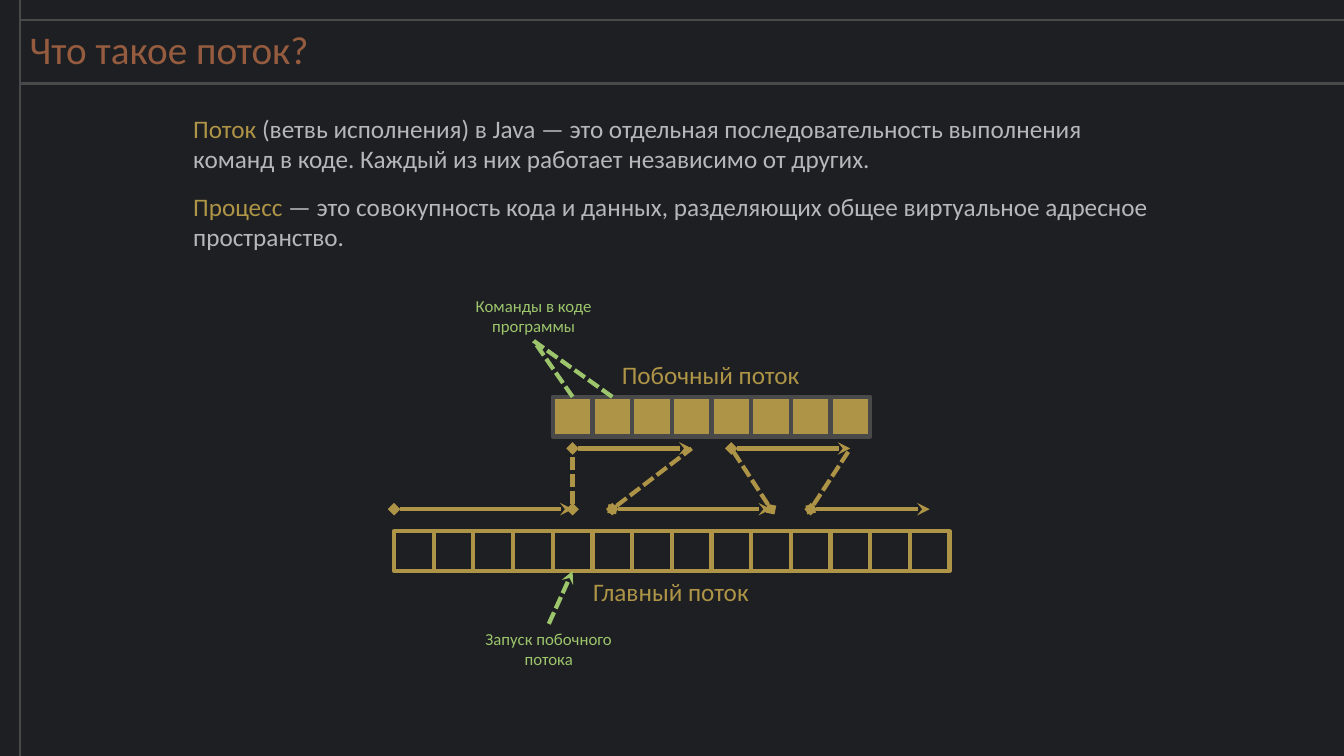
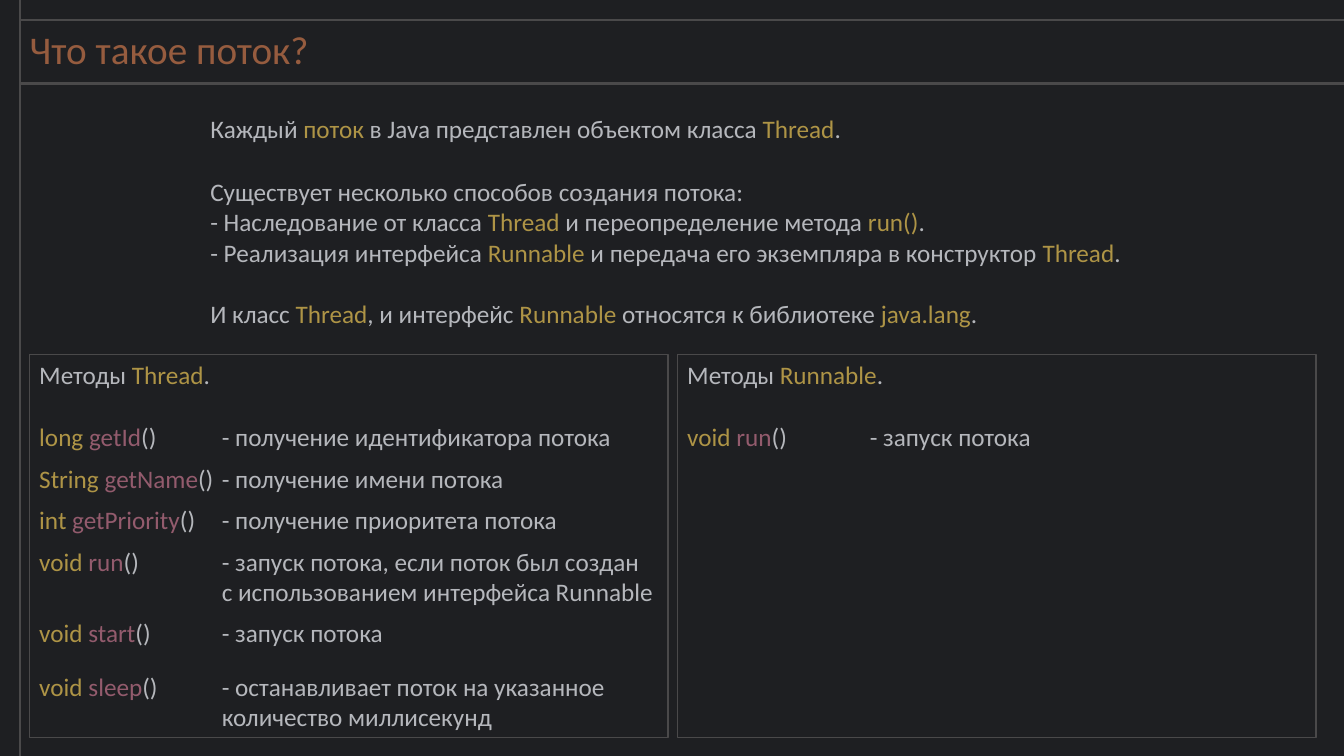
from dataclasses import dataclass
from itertools import cycle
from typing import Optional, Sequence

from lxml import etree
from pptx import Presentation
from pptx.dml.color import RGBColor
from pptx.enum import dml, shapes, text
from pptx.oxml.ns import qn
from pptx.shapes.autoshape import Shape
from pptx.shapes.connector import Connector
from pptx.slide import Slide
from pptx.util import Cm, Pt

BACKGROUND = RGBColor(0x1E, 0x1F, 0x22)
RUST = RGBColor(0x96, 0x5C, 0x3F)
GRAPHITE = RGBColor(0x4A, 0x49, 0x4A)
GOLD = RGBColor(0xAE, 0x94, 0x46)
GRAY = RGBColor(0xB5, 0xB7, 0xBC)
GREEN = RGBColor(0x9C, 0xC5, 0x6C)
PLUM = RGBColor(0x93, 0x5B, 0x6D)

FONT = "Calibri"
SLIDE_WIDTH, SLIDE_HEIGHT = 33.87, 19.05
MARGIN, TITLE_BOTTOM = 0.5, 2.1

CELL = 1.0
MAIN_LEFT, MAIN_TOP = 9.93, 13.39
SIDE_START, SIDE_TOP = 4, 10.0
MAIN_LEVEL, SIDE_LEVEL = 12.83, 11.3

PANEL_TOP, PANEL_WIDTH, PANEL_HEIGHT = 8.94, 16.1, 9.65
NOTE_INDENT = 4.6


@dataclass(frozen=True)
class Step:
    """A diagram line; x values count cells of the main thread."""
    x1: float
    y1: float
    x2: float
    y2: float
    switch: bool = False


@dataclass(frozen=True)
class Method:
    signature: str
    note: Sequence[str]
    gap_before: float = 0


@dataclass(frozen=True)
class Panel:
    left: float
    heading: str
    methods: Sequence[Method]


STEPS = (
    Step(0, MAIN_LEVEL, 4.5, MAIN_LEVEL),
    Step(4.5, MAIN_LEVEL, 4.5, SIDE_LEVEL, switch=True),
    Step(4.5, SIDE_LEVEL, 7.5, SIDE_LEVEL),
    Step(5.5, MAIN_LEVEL, 7.5, SIDE_LEVEL, switch=True),
    Step(5.5, MAIN_LEVEL, 9.5, MAIN_LEVEL),
    Step(9.5, MAIN_LEVEL, 8.5, SIDE_LEVEL, switch=True),
    Step(8.5, SIDE_LEVEL, 11.5, SIDE_LEVEL),
    Step(10.5, MAIN_LEVEL, 11.5, SIDE_LEVEL, switch=True),
    Step(10.5, MAIN_LEVEL, 13.5, MAIN_LEVEL),
)

PANELS = (
    Panel(0.74, "Методы |Thread|.", (
        Method("long |getId|()", ["- получение идентификатора потока"]),
        Method("String |getName|()", ["- получение имени потока"]),
        Method("int |getPriority|()", ["- получение приоритета потока"]),
        Method("void |run|()", ["- запуск потока, если поток был создан",
                                "с использованием интерфейса Runnable"]),
        Method("void |start|()", ["- запуск потока"]),
        Method("void |sleep|()", ["- останавливает поток на указанное",
                                  "количество миллисекунд"], gap_before=0.3),
    )),
    Panel(17.07, "Методы |Runnable|.", (
        Method("void |run|()", ["- запуск потока"]),
    )),
)


def write(slide: Slide, paragraphs: Sequence[str], left: float, top: float,
          width: float, height: float = 1.02, *,
          colors: Sequence[RGBColor] = (GRAY, GOLD), size: float = 18,
          align: text.PP_ALIGN = text.PP_ALIGN.LEFT,
          anchor: text.MSO_ANCHOR = text.MSO_ANCHOR.TOP,
          line_spacing: Optional[float] = None,
          last_space: float = 0) -> Shape:
    """Add a text box; "|" in a paragraph moves on to the next colour."""
    box = slide.shapes.add_textbox(Cm(left), Cm(top), Cm(width), Cm(height))
    frame = box.text_frame
    frame.word_wrap = True
    frame.vertical_anchor = anchor
    for index, content in enumerate(paragraphs):
        paragraph = frame.add_paragraph() if index else frame.paragraphs[0]
        paragraph.alignment = align
        paragraph.line_spacing = line_spacing
        for part, color in zip(content.split("|"), cycle(colors)):
            if part:
                run = paragraph.add_run()
                run.text = part
                run.font.name = FONT
                run.font.size = Pt(size)
                run.font.color.rgb = color
    if last_space:
        paragraph.space_before = Pt(last_space)
    return box


def draw_line(slide: Slide, x1: float, y1: float, x2: float, y2: float, *,
              color: RGBColor, width: float = 3, dashed: bool = False,
              head: str = "none", tail: str = "none") -> Connector:
    connector = slide.shapes.add_connector(
        shapes.MSO_CONNECTOR.STRAIGHT, Cm(x1), Cm(y1), Cm(x2), Cm(y2))
    connector.line.color.rgb = color
    connector.line.width = Pt(width)
    if dashed:
        connector.line.dash_style = dml.MSO_LINE.SQUARE_DOT
    outline = connector.line._get_or_add_ln()
    for tag, arrowhead in (("a:headEnd", head), ("a:tailEnd", tail)):
        etree.SubElement(outline, qn(tag)).set("type", arrowhead)
    etree.SubElement(connector._element.spPr, qn("a:effectLst"))
    return connector


def join(slide: Slide, start: Shape, start_side: int,
         end: Shape, end_side: int, *, tail: str = "none") -> None:
    pointer = draw_line(slide, 0, 0, 1, 1, color=GREEN, dashed=True, tail=tail)
    pointer.begin_connect(start, start_side)
    pointer.end_connect(end, end_side)


def draw_rectangle(slide: Slide, left: float, top: float, width: float,
                   height: float, *, line: RGBColor, line_width: float,
                   fill: Optional[RGBColor] = None) -> Shape:
    rectangle = slide.shapes.add_shape(
        shapes.MSO_SHAPE.RECTANGLE, Cm(left), Cm(top), Cm(width), Cm(height))
    rectangle.shadow.inherit = False
    rectangle.line.color.rgb = line
    rectangle.line.width = Pt(line_width)
    if fill is None:
        rectangle.fill.background()
    else:
        rectangle.fill.solid()
        rectangle.fill.fore_color.rgb = fill
    return rectangle


def draw_cells(slide: Slide, count: int, start: int, top: float, *,
               line: RGBColor, fill: Optional[RGBColor] = None) -> list[Shape]:
    return [draw_rectangle(slide, MAIN_LEFT + (start + i) * CELL, top, CELL,
                           CELL, line=line, line_width=3, fill=fill)
            for i in range(count)]


def add_titled_slide(prs: Presentation, title: str) -> Slide:
    slide = prs.slides.add_slide(prs.slide_layouts[6])
    slide.background.fill.solid()
    slide.background.fill.fore_color.rgb = BACKGROUND
    write(slide, [title], MARGIN, MARGIN, 33.1, TITLE_BOTTOM - MARGIN,
          colors=(RUST,), size=28, anchor=text.MSO_ANCHOR.MIDDLE,
          line_spacing=0.9)
    draw_line(slide, MARGIN, SLIDE_HEIGHT, MARGIN, 0,
              color=GRAPHITE, width=1.75)
    for y in (MARGIN, TITLE_BOTTOM):
        draw_line(slide, SLIDE_WIDTH, y, MARGIN, y, color=GRAPHITE, width=1.75)
    return slide


def draw_thread_diagram(slide: Slide) -> None:
    main_cells = draw_cells(slide, 14, 0, MAIN_TOP, line=GOLD)
    write(slide, ["Главный поток"], 14.7, 14.4, 4.6, colors=(GOLD,))
    side_cells = draw_cells(slide, 8, SIDE_START, SIDE_TOP,
                            line=GRAPHITE, fill=GOLD)
    write(slide, ["Побочный поток"], 15.42, 8.94, 5.2, colors=(GOLD,))
    for step in STEPS:
        draw_line(slide, MAIN_LEFT + step.x1 * CELL, step.y1,
                  MAIN_LEFT + step.x2 * CELL, step.y2, color=GOLD,
                  dashed=step.switch, head="diamond",
                  tail="none" if step.switch else "stealth")

    commands = write(slide, ["Команды в коде", "программы"],
                     11.66, 7.32, 3.58, 1.27, colors=(GREEN,), size=12,
                     align=text.PP_ALIGN.CENTER)
    for cell in side_cells[:2]:
        join(slide, cell, 0, commands, 2)
    launch = write(slide, ["Запуск побочного", "потока"],
                   11.91, 15.72, 3.84, 1.27, colors=(GREEN,), size=12,
                   align=text.PP_ALIGN.CENTER)
    join(slide, launch, 0, main_cells[SIDE_START], 2, tail="stealth")


def draw_panel(slide: Slide, panel: Panel) -> None:
    draw_rectangle(slide, panel.left, PANEL_TOP, PANEL_WIDTH, PANEL_HEIGHT,
                   line=GRAPHITE, line_width=1)
    write(slide, [panel.heading], panel.left, PANEL_TOP, PANEL_WIDTH)
    top = PANEL_TOP + 1.55
    for method in panel.methods:
        top += method.gap_before
        height = 0.75 * len(method.note) + 0.3
        write(slide, [method.signature], panel.left, top, 5.2,
              colors=(GOLD, PLUM, GRAY))
        write(slide, method.note, panel.left + NOTE_INDENT, top,
              PANEL_WIDTH - NOTE_INDENT, height)
        top += height


def build_definition_slide(prs: Presentation) -> None:
    slide = add_titled_slide(prs, "Что такое поток?")
    definitions = (
        "Поток| (ветвь исполнения) в Java — это отдельная последовательность "
        "выполнения команд в коде. Каждый из них работает независимо от других.",
        "Процесс| — это совокупность кода и данных, разделяющих общее "
        "виртуальное адресное пространство.",
    )
    for index, definition in enumerate(definitions):
        write(slide, [definition], 4.62, 2.72 + index * 1.98, 24.64, 1.8,
              colors=(GOLD, GRAY))
    draw_thread_diagram(slide)


def build_classes_slide(prs: Presentation) -> None:
    slide = add_titled_slide(prs, "Что такое поток?")
    write(slide, ["Каждый |поток| в Java представлен объектом класса |Thread|."],
          5.05, 2.72, 24)
    write(slide, [
        "Существует несколько способов создания потока:",
        "- Наследование от класса |Thread| и переопределение метода |run()|.",
        "- Реализация интерфейса |Runnable| и передача его экземпляра "
        "в конструктор |Thread|.",
        "И класс |Thread|, и интерфейс |Runnable| относятся к библиотеке "
        "|java.lang|.",
    ], 5.05, 4.32, 24, 4.11, last_space=22)
    for panel in PANELS:
        draw_panel(slide, panel)


def main() -> None:
    prs = Presentation()
    prs.slide_width, prs.slide_height = Cm(SLIDE_WIDTH), Cm(SLIDE_HEIGHT)
    build_definition_slide(prs)
    build_classes_slide(prs)
    prs.save("out.pptx")


if __name__ == "__main__":
    main()
